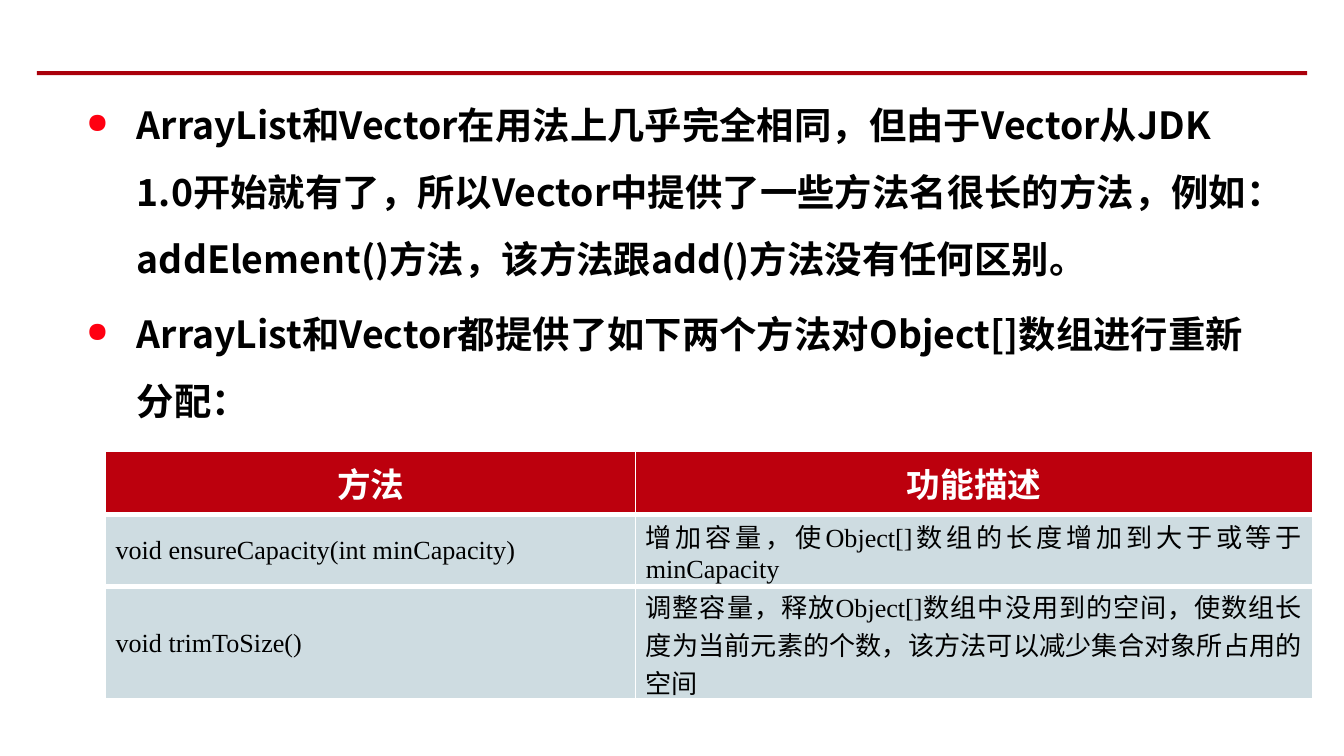
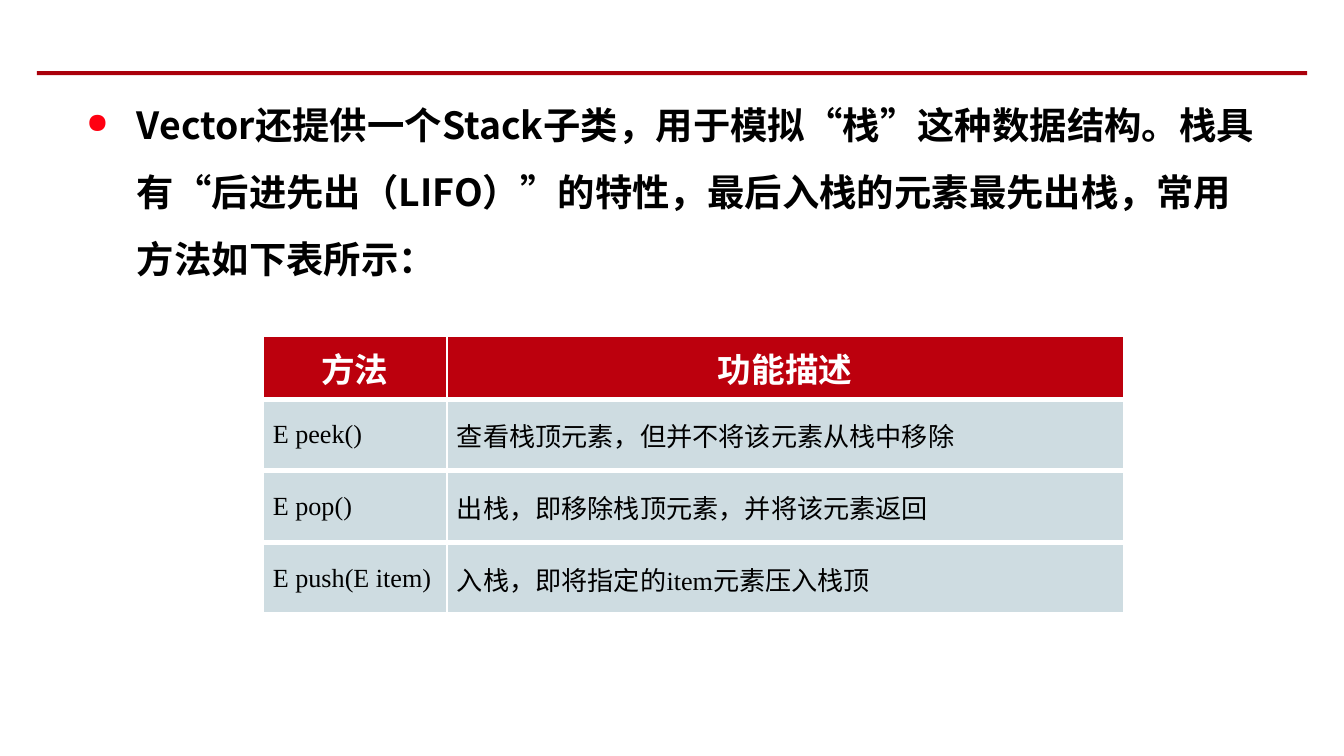
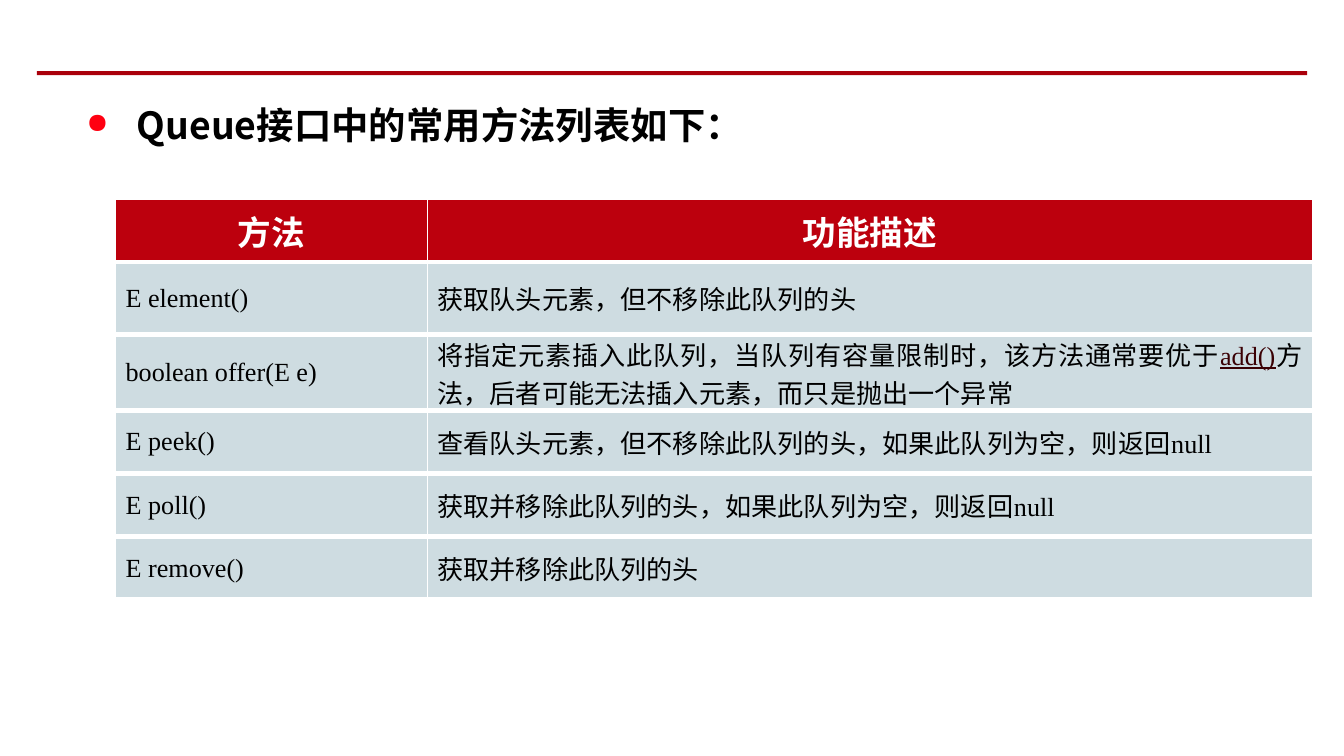
from lxml import etree
from pptx import Presentation
from pptx.dml.color import RGBColor
from pptx.enum.shapes import MSO_SHAPE
from pptx.enum.text import MSO_ANCHOR, PP_ALIGN
from pptx.oxml.ns import qn
from pptx.util import Pt

PX = 4572  # 200 px to the inch
WIDTH, HEIGHT = 2000, 1125
INDENT, INSET = 75, 15

RECT = MSO_SHAPE.RECTANGLE
MIDDLE = MSO_ANCHOR.MIDDLE
CENTER, JUSTIFY = PP_ALIGN.CENTER, PP_ALIGN.JUSTIFY

RULE = RGBColor(0xAA, 0x00, 0x0B)
DOT = RGBColor(0xFF, 0x00, 0x11)
HEAD = RGBColor(0xBC, 0x00, 0x0D)
CELL = RGBColor(0xCE, 0xDC, 0xE1)
LINK = RGBColor(0x3A, 0x00, 0x04)
WHITE = RGBColor(0xFF, 0xFF, 0xFF)
BLACK = RGBColor(0x00, 0x00, 0x00)

SANS, SERIF = "Noto Sans CJK SC", "Times New Roman"
TITLES = ("方法", "功能描述")

SLIDES = [
    {
        "points": [
            "ArrayList和Vector在用法上几乎完全相同，但由于Vector从JDK 1.0开始就有了，"
            "所以Vector中提供了一些方法名很长的方法，例如：addElement()方法，"
            "该方法跟add()方法没有任何区别。",
            "ArrayList和Vector都提供了如下两个方法对Object[]数组进行重新分配：",
        ],
        "depth": 438,
        "spot": (157, 672),
        "cols": (789, 1007),
        "rows": (94, 107, 170),
        "cells": [
            ("void ensureCapacity(int minCapacity)",
             "增加容量，使Object[]数组的长度增加到大于或等于minCapacity"),
            ("void trimToSize()",
             "调整容量，释放Object[]数组中没用到的空间，使数组长度为当前元素的个数，"
             "该方法可以减少集合对象所占用的空间"),
        ],
    },
    {
        "points": [
            "Vector还提供一个Stack子类，用于模拟“栈”这种数据结构。"
            "栈具有“后进先出（LIFO）”的特性，最后入栈的元素最先出栈，"
            "常用方法如下表所示：",
        ],
        "depth": 438,
        "spot": (391, 500),
        "cols": (274, 1007),
        "rows": (94, 107, 107, 107),
        "cells": [
            ("E peek()", "查看栈顶元素，但并不将该元素从栈中移除"),
            ("E pop()", "出栈，即移除栈顶元素，并将该元素返回"),
            ("E push(E item)", "入栈，即将指定的item元素压入栈顶"),
        ],
    },
    {
        "points": ["Queue接口中的常用方法列表如下："],
        "depth": 672,
        "spot": (172, 296),
        "cols": (464, 1317),
        "rows": (94, 108, 113, 94, 94, 94),
        "cells": [
            ("E element()", "获取队头元素，但不移除此队列的头"),
            ("boolean offer(E e)",
             ("将指定元素插入此队列，当队列有容量限制时，该方法通常要优于", "add()",
              "方法，后者可能无法插入元素，而只是抛出一个异常")),
            ("E peek()", "查看队头元素，但不移除此队列的头，如果此队列为空，则返回null"),
            ("E poll()", "获取并移除此队列的头，如果此队列为空，则返回null"),
            ("E remove()", "获取并移除此队列的头"),
        ],
    },
]


def scale(*sizes):
    return [size * PX for size in sizes]


def style(run, face, size, color, bold):
    font = run.font
    font.name, font.size, font.bold = face, Pt(size), bold
    font.color.rgb = color
    east = etree.SubElement(run._r.get_or_add_rPr(), qn("a:ea"))
    east.set("typeface", SANS)


def add_rule(slide, box):
    bar = slide.shapes.add_shape(RECT, *scale(*box))
    bar.shadow.inherit = False
    bar.fill.solid()
    bar.fill.fore_color.rgb = RULE
    bar.line.fill.background()


def add_dot(para):
    props = para._p.get_or_add_pPr()
    props.set("marL", str(INDENT * PX))
    props.set("indent", str(-INDENT * PX))
    color = etree.SubElement(props, qn("a:buClr"))
    etree.SubElement(color, qn("a:srgbClr")).set("val", str(DOT))
    etree.SubElement(props, qn("a:buSzPct")).set("val", "75000")
    etree.SubElement(props, qn("a:buChar")).set("char", "●")


def add_points(slide, box, points):
    frame = slide.shapes.add_textbox(*scale(*box)).text_frame
    frame.word_wrap = True
    frame.text = "\n".join(points)
    for index, para in enumerate(frame.paragraphs):
        add_dot(para)
        para.line_spacing = 1.5
        if index:
            para.space_before = Pt(4)
        style(para.runs[0], SANS, 20, BLACK, True)


def add_edges(cell, top):
    props = cell._tc.get_or_add_tcPr()
    for side, width in (("L", 1), ("R", 1), ("T", top), ("B", 3)):
        edge = etree.SubElement(props, qn("a:ln" + side), w=str(Pt(width)))
        fill = etree.SubElement(edge, qn("a:solidFill"))
        etree.SubElement(fill, qn("a:srgbClr")).set("val", str(WHITE))


def fill_cell(cell, text, head):
    """Write a str, or a tuple of parts in which every second one is a link."""
    cell.margin_left = cell.margin_right = INSET * PX
    cell.margin_top = cell.margin_bottom = 0
    cell.vertical_anchor = MIDDLE
    add_edges(cell, 1 if head else 3)
    cell.fill.solid()
    cell.fill.fore_color.rgb = HEAD if head else CELL
    para = cell.text_frame.paragraphs[0]
    para.alignment = CENTER if head else JUSTIFY
    for index, part in enumerate((text,) if isinstance(text, str) else text):
        run = para.add_run()
        run.text = part
        if head:
            style(run, SERIF, 18, WHITE, True)
        else:
            style(run, SERIF, 14, LINK if index % 2 else BLACK, False)
            if index % 2:
                run.font.underline = True


def add_grid(slide, spot, cols, rows, cells):
    box = scale(*spot, sum(cols), sum(rows))
    table = slide.shapes.add_table(len(rows), len(cols), *box).table
    table.horz_banding = False
    for col, width in zip(table.columns, cols):
        col.width = width * PX
    for row, height in zip(table.rows, rows):
        row.height = height * PX
    for r, texts in enumerate([TITLES, *cells]):
        for c, text in enumerate(texts):
            fill_cell(table.cell(r, c), text, r == 0)


def main():
    deck = Presentation()
    deck.slide_width, deck.slide_height = scale(WIDTH, HEIGHT)
    for page in SLIDES:
        slide = deck.slides.add_slide(deck.slide_layouts[6])
        add_rule(slide, (55, 106, 1890, 6))
        add_points(slide, (109, 109, 1796, page["depth"]), page["points"])
        add_grid(slide, page["spot"], page["cols"], page["rows"], page["cells"])
    deck.save("out.pptx")


if __name__ == "__main__":
    main()
